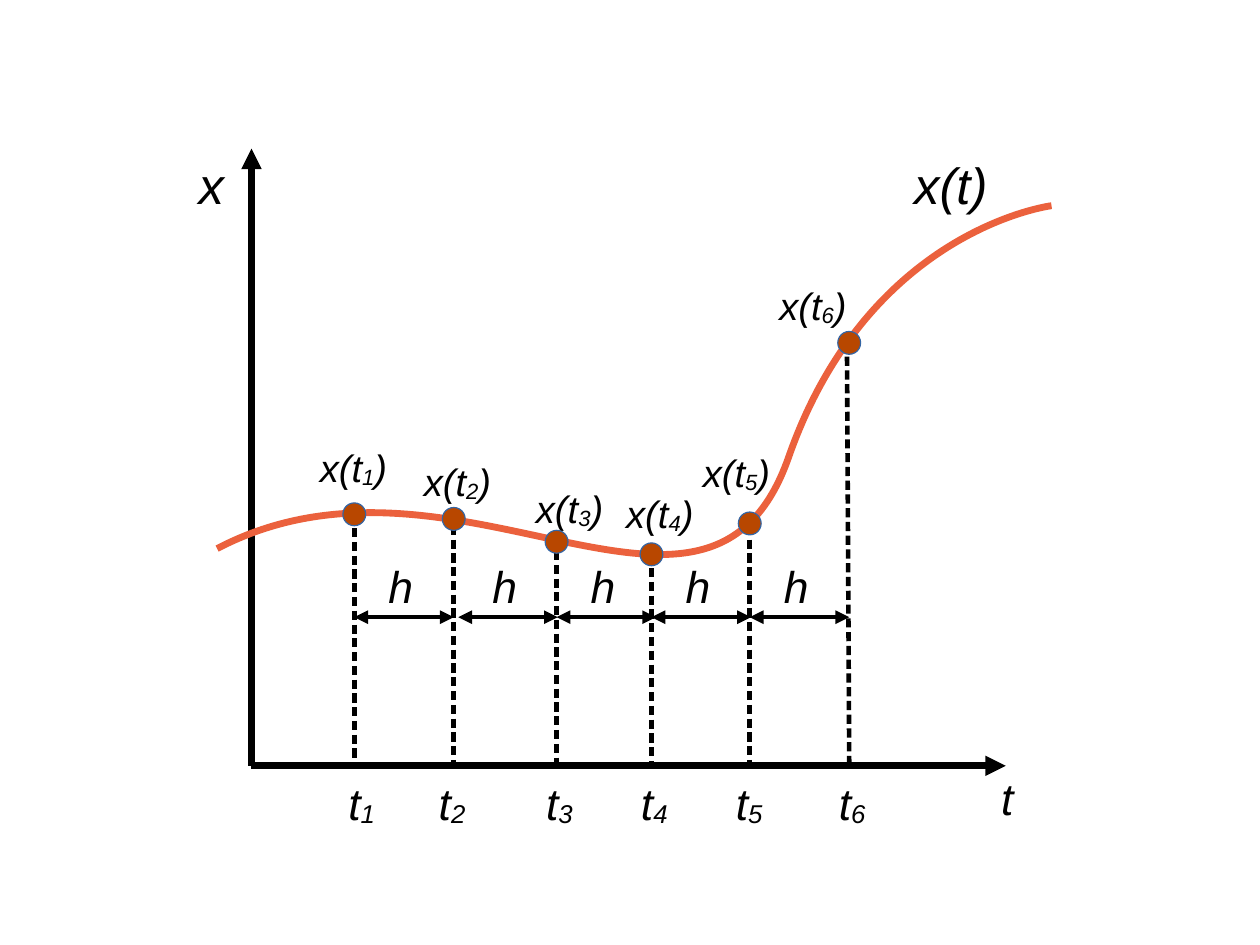
from lxml import etree
from pptx import Presentation
from pptx.dml.color import RGBColor as RGB
from pptx.enum.shapes import MSO_CONNECTOR as Link, MSO_SHAPE as Shape
from pptx.oxml.ns import qn
from pptx.util import Inches, Pt

COLORS = {"ink": "000000", "curve": "EB613D", "dot": "B84700", "rim": "3465A4"}
FONT = "Arial"
AXIS, THIN = 4.31, 2.89
CM = 1 / 2.54
PLOT = (2.2, 1.3, 6.6, 5.4)
START = (-0.3, 3.5)
BENDS = [[(1.8, 2.4), (4, 4.7), (4.7, 2.7)], [(5.4, 0.7), (7, 0.5), (7, 0.5)]]
POINTS = [(0.9, 3.2), (1.77, 3.24), (2.67, 3.44), (3.5, 3.55), (4.36, 3.28), (5.23, 1.7)]
NAMES = [(0.5, 2.54), (1.41, 2.66), (2.39, 2.9), (3.18, 2.94), (3.85, 2.58), (4.52, 1.12)]
TOPS = [(0.9, 3.2), (1.77, 3.3), (2.67, 3.4), (3.5, 3.55), (4.36, 3.3), (5.21, 1.7)]
TICKS = [0.75, 1.54, 2.48, 3.31, 4.14, 5.04]
STEPS = [0.9, 1.81, 2.67, 3.5, 4.36]


def color(key):
    """Return the named colour."""
    return RGB.from_string(COLORS[key])


def add_line(slide, start, end, width, ends=(), dashed=False):
    """Draw a black line with optional arrowheads and dashes."""
    link = slide.shapes.add_connector(Link.STRAIGHT, *map(Inches, start + end))
    link.line.color.rgb = color("ink")
    link.line.width = Pt(width)
    props = link._element.spPr
    line = props.find(qn("a:ln"))
    if dashed:
        dash = etree.SubElement(line, qn("a:custDash"))
        etree.SubElement(dash, qn("a:ds"), d="200000", sp="100000")
    for tag in ends:
        etree.SubElement(line, qn("a:" + tag), type="triangle")
    etree.SubElement(props, qn("a:effectLst"))


def add_text(slide, box, parts, size):
    """Write italic text whose every second part is a subscript."""
    frame = slide.shapes.add_textbox(*map(Inches, box)).text_frame
    frame.word_wrap = True
    for i, part in enumerate(parts):
        run = frame.paragraphs[0].add_run()
        run.text = part
        run.font.name, run.font.size, run.font.italic = FONT, Pt(size), True
        run.font.color.rgb = color("ink")
        if i % 2:
            run.font._element.set("baseline", "-8000")


def draw_axes(slide, box):
    """Draw both axes and their names."""
    left, top, width, height = box
    base = top + height
    add_line(slide, (left, top), (left, base), AXIS, ["headEnd"])
    add_line(slide, (left, base), (left + width, base), AXIS, ["tailEnd"])
    add_text(slide, (left - 0.56, top, 1.6, 0.6), ["x"], 32)
    add_text(slide, (left + width - 0.14, base, 0.6, 0.53), ["t"], 28)


def draw_curve(slide, box):
    """Draw the smooth curve and its name."""
    left, top = box[:2]
    unit = 100
    pen = slide.shapes.build_freeform(START[0] * unit, START[1] * unit, Inches(1) / unit)
    pen.add_line_segments([(x * unit, y * unit) for x, y in (b[-1] for b in BENDS)], close=False)
    curve = pen.convert_to_shape(Inches(left), Inches(top))
    low = min(bend[-1][1] for bend in BENDS)
    for old, bend in zip(list(curve._element.iter(qn("a:lnTo"))), BENDS):
        new = etree.Element(qn("a:cubicBezTo"))
        for x, y in bend:
            etree.SubElement(new, qn("a:pt"), x=str(round((x - START[0]) * unit)),
                             y=str(round((y - low) * unit)))
        old.getparent().replace(old, new)
    curve.shadow.inherit = False
    curve.fill.background()
    curve.line.color.rgb = color("curve")
    curve.line.width = Pt(AXIS)
    add_text(slide, (left + 5.7, top, 1.6, 0.6), ["x(t)"], 32)


def draw_stems(slide, box):
    """Drop a dashed line from each sample and name its time."""
    left, top, _, height = box
    base = top + height
    for i, ((x, _), (sx, sy), tick) in enumerate(zip(POINTS, TOPS, TICKS), 1):
        add_line(slide, (left + sx, top + sy), (left + x, base), THIN, dashed=True)
        add_text(slide, (left + tick, base + 0.04, 0.6, 0.66), ["t", str(i)], 28)


def draw_steps(slide, box):
    """Mark the step h between neighbouring samples."""
    left, top = box[:2]
    y = top + 4.1
    for step in STEPS:
        x = left + step
        add_line(slide, (x, y), (x + 0.87, y), THIN, ["headEnd", "tailEnd"])
        add_text(slide, (x + 0.2, y - 0.56, 0.5, 0.76), ["h"], 28)


def draw_dots(slide, box):
    """Draw each sample dot and its name."""
    left, top = box[:2]
    size = 0.2
    for i, ((x, y), (dx, dy)) in enumerate(zip(POINTS, NAMES), 1):
        add_text(slide, (left + dx, top + dy, 0.95, 0.58), ["x(t", str(i), ")"], 24)
        spot = (left + x - size / 2, top + y - size / 2, size, size)
        dot = slide.shapes.add_shape(Shape.OVAL, *map(Inches, spot))
        dot.shadow.inherit = False
        dot.fill.solid()
        dot.fill.fore_color.rgb = color("dot")
        dot.line.color.rgb = color("rim")
        dot.line.width = Pt(0)


def main():
    """Build the slide and save it."""
    deck = Presentation()
    deck.slide_width, deck.slide_height = Inches(28 * CM), Inches(21 * CM)
    slide = deck.slides.add_slide(deck.slide_layouts[6])
    for draw in (draw_axes, draw_curve, draw_stems, draw_steps, draw_dots):
        draw(slide, PLOT)
    deck.save("out.pptx")


if __name__ == "__main__":
    main()
